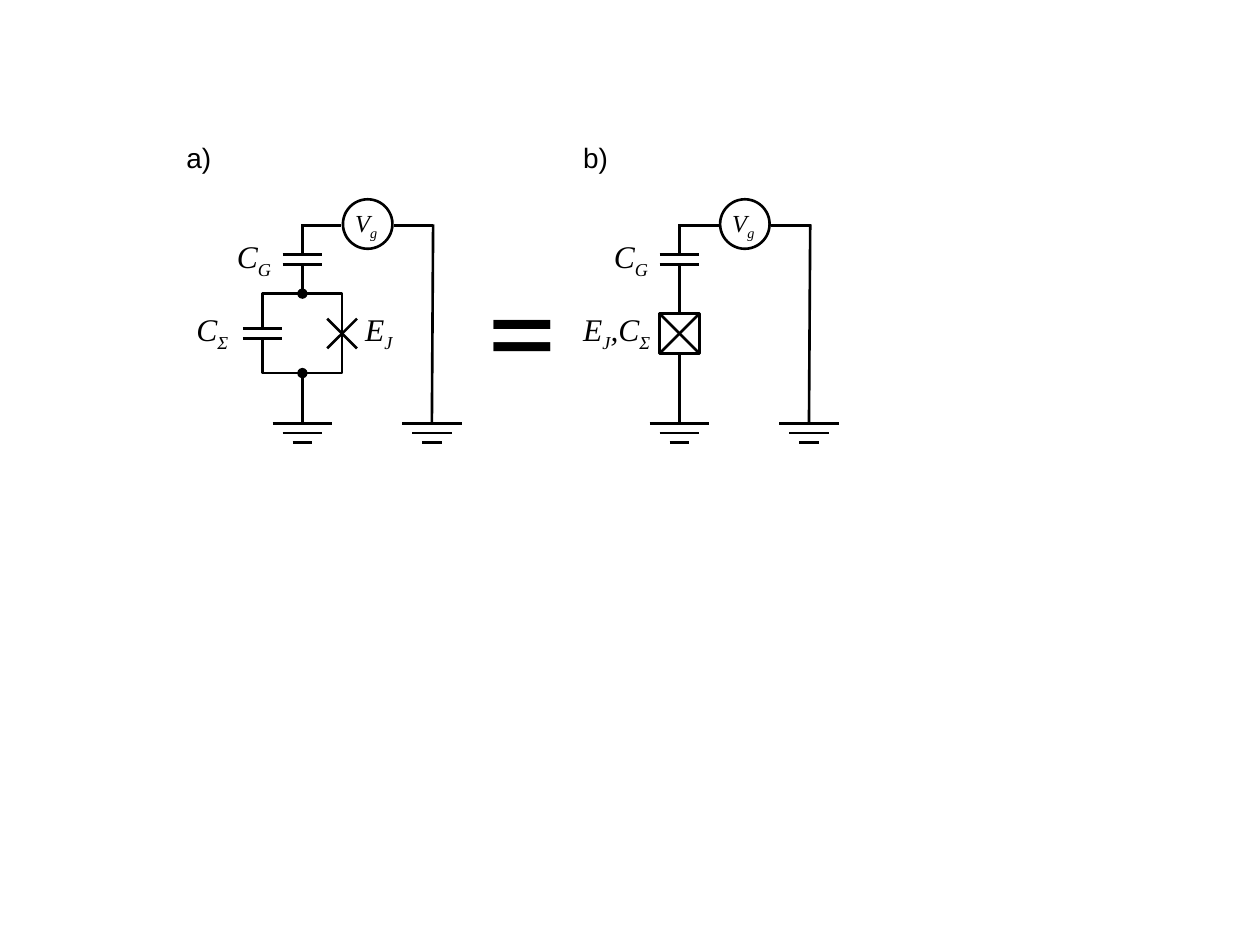
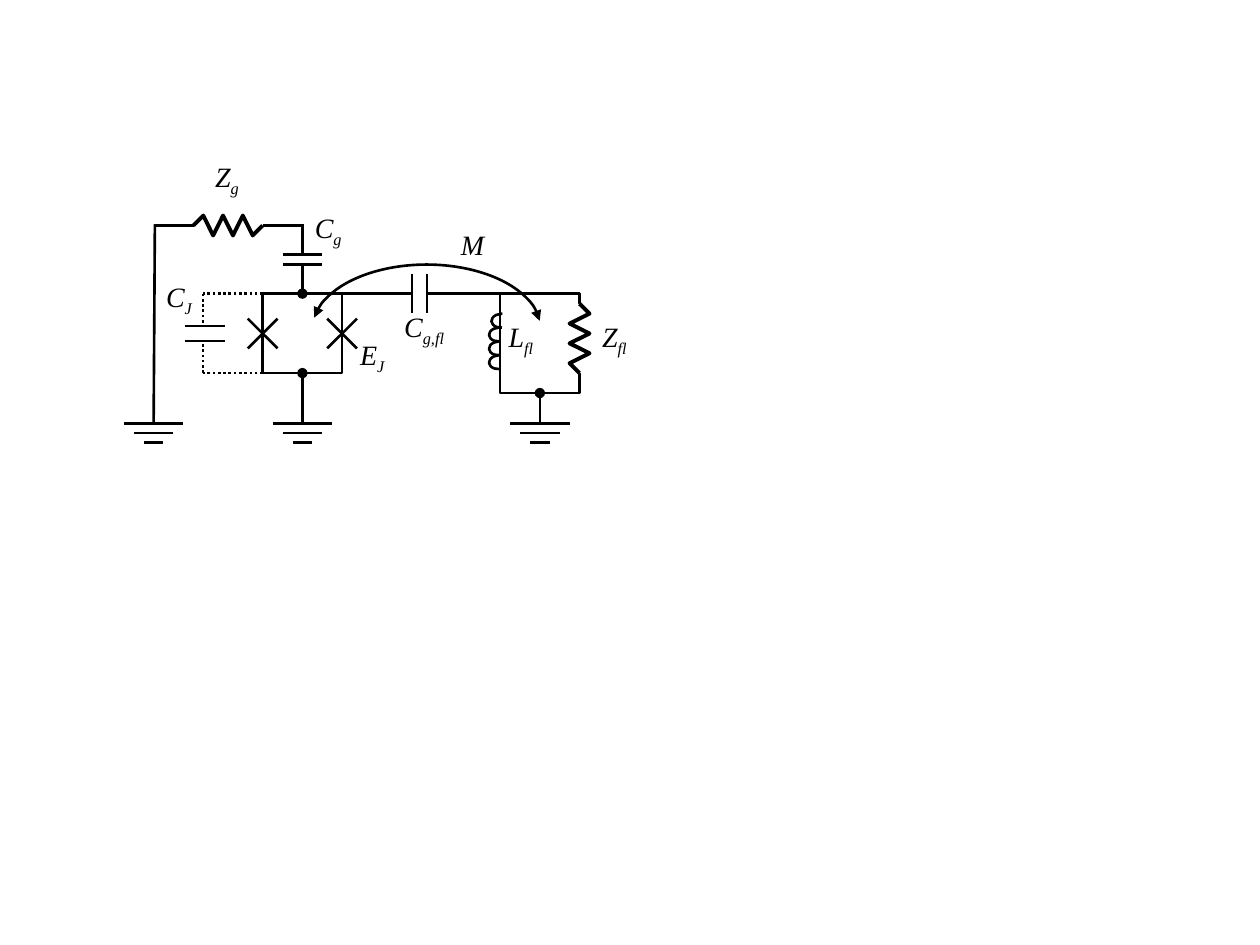
from dataclasses import dataclass
from typing import Optional

from lxml import etree
from pptx import Presentation
from pptx.dml.color import RGBColor
from pptx.enum.dml import MSO_LINE
from pptx.enum.shapes import MSO_CONNECTOR, MSO_SHAPE
from pptx.enum.text import MSO_AUTO_SIZE, PP_ALIGN
from pptx.oxml.ns import qn
from pptx.shapes.autoshape import Shape
from pptx.shapes.connector import Connector
from pptx.slide import Slide
from pptx.util import Pt

STRAIGHT = MSO_CONNECTOR.STRAIGHT
DOTTED = MSO_LINE.ROUND_DOT
RECT, OVAL, ARC = MSO_SHAPE.RECTANGLE, MSO_SHAPE.OVAL, MSO_SHAPE.ARC
FIT_SHAPE = MSO_AUTO_SIZE.SHAPE_TO_FIT_TEXT
LEFT, CENTER, RIGHT = PP_ALIGN.LEFT, PP_ALIGN.CENTER, PP_ALIGN.RIGHT
SITE_TOP, SITE_BOTTOM = 0, 2
BLANK_LAYOUT = 6


@dataclass(frozen=True)
class TextStyle:
    font: str
    size: float
    height: float
    italic: bool = False


@dataclass(frozen=True)
class Theme:
    ink: RGBColor = RGBColor(0, 0, 0)
    paper: RGBColor = RGBColor(255, 255, 255)
    stroke: float = 1.5
    heavy_stroke: float = 2.25
    meter: TextStyle = TextStyle("Times New Roman", 14, 24.5, True)
    symbol: TextStyle = TextStyle("Times New Roman", 16, 26.6, True)
    large_symbol: TextStyle = TextStyle("Times New Roman", 18, 28.8, True)
    panel: TextStyle = TextStyle("Arial", 16, 26.6)
    equals: TextStyle = TextStyle("Calibri", 80, 104.4)


THEME = Theme()


@dataclass(frozen=True)
class Box:
    left: float
    top: float
    width: float
    height: float


@dataclass(frozen=True)
class Wire:
    x1: float
    y1: float
    x2: float
    y2: float
    dash: Optional[MSO_LINE] = None


@dataclass(frozen=True)
class Label:
    text: str
    left: float
    top: float
    width: float
    style: TextStyle = THEME.symbol
    align: PP_ALIGN = LEFT
    wrap: bool = False


GATE_X = 172.8
GATE_Y = 128.9
LOOP_Y = 167.8
MID_Y = 190.6
GROUND_Y = 242
LOOP_SIDE = 45.4
PLATE_GAP = 5.8
GATE_PLATE_Y = 145.4
PANEL_SHIFT = 215.5
QUBIT_LOOP = Box(GATE_X - LOOP_SIDE / 2, LOOP_Y, LOOP_SIDE, LOOP_SIDE)
LOOP_LEFT = QUBIT_LOOP.left
LOOP_RIGHT = LOOP_LEFT + LOOP_SIDE
LOOP_BOTTOM = LOOP_Y + LOOP_SIDE


def mark_end(shape: Shape | Connector, end: str, kind: str) -> None:
    outline = shape._element.spPr.find(qn("a:ln"))
    etree.SubElement(outline, qn(f"a:{end}"), type=kind)


def draw_wire(slide: Slide, wire: Wire) -> Connector:
    line = slide.shapes.add_connector(
        STRAIGHT, Pt(wire.x1), Pt(wire.y1), Pt(wire.x2), Pt(wire.y2))
    line.line.color.rgb = THEME.ink
    line.line.width = Pt(THEME.stroke)
    if wire.dash is not None:
        line.line.dash_style = wire.dash
    etree.SubElement(line._element.spPr, qn("a:effectLst"))
    return line


def draw_wires(slide: Slide, wires: list[Wire]) -> None:
    for wire in wires:
        draw_wire(slide, wire)


def outline_shape(shape: Shape, width: float) -> None:
    shape.shadow.inherit = False
    shape.fill.background()
    shape.line.color.rgb = THEME.ink
    shape.line.width = Pt(width)


def draw_shape(slide: Slide, kind: MSO_SHAPE, box: Box) -> Shape:
    shape = slide.shapes.add_shape(
        kind, Pt(box.left), Pt(box.top), Pt(box.width), Pt(box.height))
    outline_shape(shape, THEME.stroke)
    return shape


def paint_paper(shape: Shape) -> None:
    shape.fill.solid()
    shape.fill.fore_color.rgb = THEME.paper


def draw_gap(slide: Slide, box: Box) -> None:
    gap = draw_shape(slide, RECT, box)
    paint_paper(gap)
    gap.line.fill.background()


def draw_arc(slide: Slide, box: Box, start: float, end: float) -> Shape:
    arc = draw_shape(slide, ARC, box)
    arc.adjustments[0] = start
    arc.adjustments[1] = end
    return arc


def draw_label(slide: Slide, label: Label) -> None:
    style = label.style
    frame = slide.shapes.add_textbox(
        Pt(label.left), Pt(label.top), Pt(label.width), Pt(style.height)).text_frame
    frame.word_wrap = label.wrap
    frame.auto_size = FIT_SHAPE
    line = frame.paragraphs[0]
    line.alignment = label.align
    line.font.name = style.font
    line.font.size = Pt(style.size)
    line.font.italic = style.italic
    line.font.color.rgb = THEME.ink
    for index, part in enumerate(label.text.split("|")):
        run = line.add_run()
        run.text = part
        if index % 2:
            run.font._element.set("baseline", "-25000")


def draw_labels(slide: Slide, labels: list[Label]) -> None:
    for label in labels:
        draw_label(slide, label)


def draw_capacitor(slide: Slide, x: float, y: float, gap: float = PLATE_GAP,
                   upright: bool = False) -> None:
    half = 11.3
    for offset in (-gap / 2, gap / 2):
        if upright:
            draw_wire(slide, Wire(x + offset, y - half, x + offset, y + half))
        else:
            draw_wire(slide, Wire(x - half, y + offset, x + half, y + offset))


def draw_cross(slide: Slide, x: float, y: float, size: float = 17) -> None:
    half = size / 2
    for rise in (half, -half):
        draw_wire(slide, Wire(x - half, y - rise, x + half, y + rise))


def draw_ground(slide: Slide, x: float) -> None:
    for step, half in enumerate((17, 11.3, 5.6)):
        y = GROUND_Y + 5.5 * step
        draw_wire(slide, Wire(x - half, y, x + half, y))


def draw_ground_return(slide: Slide, x: float) -> None:
    draw_wire(slide, Wire(x + 0.7, GATE_Y - 0.7, x, GROUND_Y))
    draw_ground(slide, x)


def draw_gate_drop(slide: Slide, x: float) -> None:
    draw_capacitor(slide, x, GATE_PLATE_Y + PLATE_GAP / 2)
    draw_wire(slide, Wire(x, GATE_PLATE_Y, x, GATE_Y - 0.7))


def draw_grounded_loop(slide: Slide, box: Box) -> Shape:
    loop = draw_shape(slide, RECT, box)
    x = box.left + box.width / 2
    stem = draw_wire(slide, Wire(x, box.top + box.height, x, GROUND_Y))
    stem.begin_connect(loop, SITE_BOTTOM)
    mark_end(stem, "headEnd", "oval")
    draw_ground(slide, x)
    return loop


def draw_qubit_loop(slide: Slide) -> None:
    loop = draw_grounded_loop(slide, QUBIT_LOOP)
    feed = draw_wire(slide, Wire(GATE_X, GATE_PLATE_Y + PLATE_GAP, GATE_X, LOOP_Y))
    feed.end_connect(loop, SITE_TOP)
    mark_end(feed, "tailEnd", "oval")


def draw_gate_source(slide: Slide, shift: float) -> None:
    x = GATE_X + shift
    draw_gate_drop(slide, x)
    draw_shape(slide, OVAL, Box(x + 23.2, 113.9, 28.3, 28.3))
    draw_wires(slide, [
        Wire(x - 0.7, GATE_Y, x + 22.3, GATE_Y),
        Wire(x + 74.9, GATE_Y, x + 52.4, GATE_Y),
    ])
    draw_ground_return(slide, x + 74)
    draw_labels(slide, [
        Label("V|g", x + 22.4, 115.2, 28.1, THEME.meter, CENTER),
        Label("C|G", x - 44.6, 131.8, 35.3, THEME.large_symbol),
    ])


def draw_resistor(slide: Slide, x: float, y: float, upright: bool = False) -> None:
    length, thickness, swing = 39.6, 5.8, 5.7
    if upright:
        draw_gap(slide, Box(x - thickness / 2, y - length, thickness, length))
    else:
        draw_gap(slide, Box(x - length, y - thickness / 2, length, thickness))
    swings = [0, *(swing, -swing) * 3, 0]
    steps = [(length * i / 7, s) for i, s in enumerate(swings)]
    points = [(Pt(x - s), Pt(y - d)) if upright else (Pt(x - d), Pt(y + s))
              for d, s in steps]
    zigzag = slide.shapes.build_freeform(*points[0])
    zigzag.add_line_segments(points[1:], close=False)
    outline_shape(zigzag.convert_to_shape(), THEME.heavy_stroke)


def draw_coil(slide: Slide) -> None:
    for turn, left in enumerate((280.8, 279.4, 279.4, 279.4)):
        arc = draw_arc(slide, Box(left, 179.3 + 7.9 * turn, 11.5, 7.9), 155.39, 53.76)
        arc.rotation = 176.3
        arc._element.spPr.find(qn("a:xfrm")).set("flipV", "1")


def build_equivalence(slide: Slide) -> None:
    box_x = GATE_X + PANEL_SHIFT
    box_side = 22.6
    draw_wire(slide, Wire(box_x, GATE_PLATE_Y + PLATE_GAP, box_x, GROUND_Y))
    junction_box = draw_shape(
        slide, RECT, Box(box_x - box_side / 2, MID_Y - box_side / 2, box_side, box_side))
    paint_paper(junction_box)
    draw_cross(slide, box_x, MID_Y, box_side)
    draw_ground(slide, box_x)

    draw_qubit_loop(slide)
    draw_cross(slide, LOOP_RIGHT, MID_Y)
    draw_gap(slide, Box(LOOP_LEFT - 11.3, MID_Y - 2.6, 22.6, 5.2))
    draw_capacitor(slide, LOOP_LEFT, MID_Y)

    for shift in (0, PANEL_SHIFT):
        draw_gate_source(slide, shift)
    draw_labels(slide, [
        Label("C|Σ", 105.1, 173.5, 33.8, THEME.large_symbol),
        Label("E|J", 201.6, 173.5, 31, THEME.large_symbol),
        Label("E|J|,C|Σ", 326.2, 173.5, 67.7, THEME.large_symbol, wrap=True),
        Label("=", 271.4, 133.9, 54.7, THEME.equals),
        Label("a)", 99.4, 77, 28.8, THEME.panel),
        Label("b)", 326.2, 77, 28.8, THEME.panel),
    ])


def build_flux_line(slide: Slide) -> None:
    flux_left = 285.8
    flux_right = flux_left + LOOP_SIDE
    shunt_x = 116
    draw_grounded_loop(slide, Box(flux_left, LOOP_Y, LOOP_SIDE, 56.8))
    draw_coil(slide)
    draw_resistor(slide, flux_right, LOOP_BOTTOM, upright=True)

    draw_ground_return(slide, 87.8)
    draw_gate_drop(slide, GATE_X)
    draw_resistor(slide, LOOP_LEFT, GATE_Y)
    draw_qubit_loop(slide)
    for x in (LOOP_LEFT, LOOP_RIGHT):
        draw_cross(slide, x, MID_Y)
    draw_capacitor(slide, shunt_x + 1, MID_Y, 8.6)
    draw_capacitor(slide, 239.8, LOOP_Y, 8.6, upright=True)
    draw_wires(slide, [
        Wire(87.8, GATE_Y, 110.9, GATE_Y),
        Wire(GATE_X, GATE_Y, LOOP_LEFT, GATE_Y),
        Wire(LOOP_LEFT, LOOP_Y, shunt_x, LOOP_Y, DOTTED),
        Wire(LOOP_LEFT, LOOP_BOTTOM, shunt_x, LOOP_BOTTOM, DOTTED),
        Wire(shunt_x, LOOP_Y, shunt_x, 185, DOTTED),
        Wire(shunt_x, 196.6, shunt_x, LOOP_BOTTOM, DOTTED),
        Wire(LOOP_RIGHT, LOOP_Y, 235.5, LOOP_Y),
        Wire(244, LOOP_Y, 287, LOOP_Y),
    ])

    coupling = draw_arc(slide, Box(178.6, 151.2, 130.3, 73.4), 111.4, 213.59)
    for end in ("headEnd", "tailEnd"):
        mark_end(coupling, end, "triangle")
    draw_labels(slide, [
        Label("Z|g", 115.9, 87.8, 28.8),
        Label("C|g", 172.8, 116.6, 31),
        Label("C|J", 87.8, 156.2, 30.2),
        Label("E|J", 198.7, 189.4, 29.5),
        Label("M", 256.3, 126.7, 28.1),
        Label("C|g,fl", 223.9, 173.5, 39.6),
        Label("L|fl", 282.2, 179.3, 29.5, align=RIGHT),
        Label("Z|fl", 337, 179.3, 29.5),
    ])


def main() -> None:
    deck = Presentation()
    deck.slide_width, deck.slide_height = Pt(720), Pt(540)
    for build in (build_equivalence, build_flux_line):
        build(deck.slides.add_slide(deck.slide_layouts[BLANK_LAYOUT]))
    deck.save("out.pptx")


if __name__ == "__main__":
    main()
